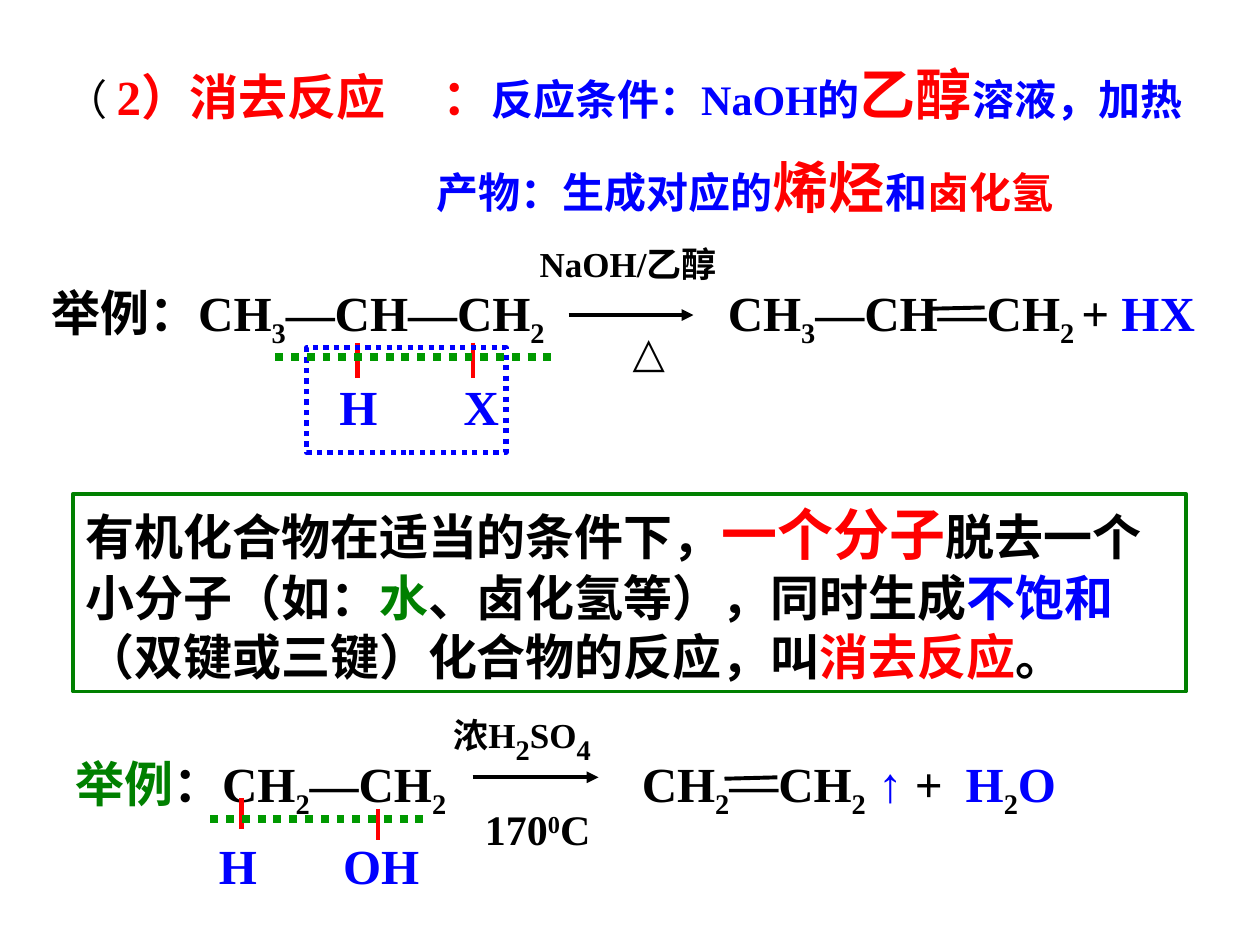
import pptx
import pptx.dml.color
import pptx.enum.dml
import pptx.enum.shapes
import pptx.enum.text
import pptx.oxml
import pptx.oxml.ns
import pptx.util

Pt = pptx.util.Pt
FONT = "Times New Roman"
COLORS = {
    "black": "000000",
    "red": "FF0000",
    "blue": "0000FF",
    "green": "008000",
    "cut": "009900",
}
SUB = {"baseline": -25000}
SUPER = {"baseline": 30000}
BLUE = {"color": "blue"}
RED = {"color": "red"}
GREEN = {"color": "green"}

HEADING = [
    [
        ("（ ", {"bold": False}),
        ("2）消去反应\t：", {"size": 28, "color": "red"}),
        ("反应条件：NaOH的", BLUE),
        ("乙醇", {"size": 32, "color": "red"}),
        ("溶液，加热", BLUE),
    ],
    [
        ("产物：生成对应的", BLUE),
        ("烯烃", {"size": 32, "color": "red"}),
        ("和", BLUE),
        ("卤化氢", RED),
    ],
]
DEFINITION = [[
    ("有机化合物在适当的条件下，", {}),
    ("一个分子", {"size": 32, "color": "red"}),
    ("脱去一个小分子（如：", {}),
    ("水", GREEN),
    ("、卤化氢等），同时生成", {}),
    ("不饱和", BLUE),
    ("（双键或三键）化合物的反应，叫", {}),
    ("消去反应", RED),
    ("。", {}),
]]
HALIDE = {
    "texts": [
        ((0, 22.7, 686, 45.4), 28, [
            ("举例：CH", {}), ("3", SUB), ("—CH—CH", {}), ("2", SUB),
            ("\tCH", {}), ("3", SUB), ("—CH—CH", {}), ("2 ", SUB),
            ("+ ", {}), ("HX", BLUE)], [386.5]),
        ((279, 0, 126.7, 31.7), 20, [("NaOH/乙醇", {})], []),
        ((332.2, 47.2, 47.5, 36), 24, [("△", {})], []),
        ((164.5, 76.7, 113.8, 41), 28, [("H\tX", BLUE)], [71]),
    ],
    "arrow": (302.7, 45, 374, 45),
    "bonds": [(181.8, 81, 181.8, 60.8, 3), (248, 60.8, 248, 81, 2.25)],
    "leaving_box": (153, 63.7, 113.8, 59.8),
    "cut": (135, 68.8, 296.2, 68.8),
    "double_bond": (510.1, 41.4, 540.3, 40.7),
}
ALCOHOL = {
    "texts": [
        ((0, 31, 684, 45.4), 28, [
            ("举例", GREEN), ("：CH", {}), ("2", SUB), ("—CH", {}), ("2", SUB),
            ("\tCH", {}), ("2", SUB), ("—CH", {}), ("2", SUB),
            (" ↑ ", BLUE), ("+\t", {}), ("H", BLUE),
            ("2", SUB), ("O", BLUE)], [323.7, 508.8]),
        ((216, 0, 108, 45.4), 20, [
            ("浓H", {}), ("2", {"size": 28, **SUB}),
            ("SO", {}), ("4", {"size": 28, **SUB})], []),
        ((234, 59.8, 90, 36), 24, [("170", {}), ("0", SUPER), ("C", {})], []),
        ((82, 77.8, 162, 41), 28, [("H\tOH", BLUE)], [71]),
    ],
    "arrow": (234, 48.2, 306, 48.2),
    "bonds": [(102.2, 77.8, 102.2, 59.8, 3), (180, 66.2, 180, 84.2, 2.25)],
    "cut": (84.2, 72, 210.2, 72),
    "double_bond": (378, 49, 408.2, 48.2),
}


def rgb(name):
    return pptx.dml.color.RGBColor.from_string(COLORS[name])


def set_line(line, color, width, dotted=False):
    line.color.rgb = rgb(color)
    line.width = Pt(width)
    if dotted:
        line.dash_style = pptx.enum.dml.MSO_LINE.ROUND_DOT


def add_tabs(paragraph, stops):
    if stops:
        properties = paragraph._p.get_or_add_pPr()
        tab_list = pptx.oxml.parse_xml(
            f'<a:tabLst {pptx.oxml.ns.nsdecls("a")}/>')
        for stop in stops:
            tab = tab_list.makeelement(pptx.oxml.ns.qn("a:tab"), {})
            tab.set("pos", str(int(Pt(stop))))
            tab.set("algn", "l")
            tab_list.append(tab)
        properties.append(tab_list)


def add_runs(paragraph, runs, size):
    paragraph.alignment = pptx.enum.text.PP_ALIGN.LEFT
    for text, changes in runs:
        style = {"size": size, "color": "black", "bold": True, **changes}
        run = paragraph.add_run()
        run.text = text
        values = {"name": FONT, "size": Pt(style["size"]), "bold": style["bold"]}
        for key, value in values.items():
            setattr(run.font, key, value)
        run.font.color.rgb = rgb(style["color"])
        if "baseline" in style:
            run._r.get_or_add_rPr().set("baseline", str(style["baseline"]))


def fill_frame(frame, paragraphs, size, stops=()):
    values = {
        "word_wrap": True,
        "auto_size": pptx.enum.text.MSO_AUTO_SIZE.SHAPE_TO_FIT_TEXT,
        "vertical_anchor": pptx.enum.text.MSO_ANCHOR.TOP,
    }
    for key, value in values.items():
        setattr(frame, key, value)
    for index, runs in enumerate(paragraphs):
        paragraph = frame.add_paragraph() if index else frame.paragraphs[0]
        if index:
            paragraph.space_before = Pt(15)
        else:
            add_tabs(paragraph, stops)
        add_runs(paragraph, runs, size)


def add_line(slide, origin, ends, color, width, dotted=False, arrow=False):
    left, top = origin
    x1, y1, x2, y2 = ends
    connector = slide.shapes.add_connector(
        pptx.enum.shapes.MSO_CONNECTOR.STRAIGHT,
        Pt(left + x1), Pt(top + y1), Pt(left + x2), Pt(top + y2))
    set_line(connector.line, color, width, dotted)
    namespace = pptx.oxml.ns.nsdecls("a")
    if arrow:
        connector.line._get_or_add_ln().append(
            pptx.oxml.parse_xml(f'<a:tailEnd {namespace} type="triangle"/>'))
    connector._element.spPr.append(
        pptx.oxml.parse_xml(f"<a:effectLst {namespace}/>"))


def add_frame(slide, box, color, width, dotted=False):
    shape = slide.shapes.add_shape(
        pptx.enum.shapes.MSO_SHAPE.RECTANGLE, *map(Pt, box))
    shape.shadow.inherit = False
    shape.fill.background()
    set_line(shape.line, color, width, dotted)
    return shape


def add_heading(slide, box):
    frame = slide.shapes.add_textbox(*map(Pt, box)).text_frame
    fill_frame(frame, HEADING, 24, [215.5])
    product_line = frame.paragraphs[1]._p.get_or_add_pPr()
    product_line.set("marL", str(int(Pt(212.4))))
    product_line.set("indent", "0")


def add_definition(slide, box):
    fill_frame(add_frame(slide, box, "green", 2.25).text_frame, DEFINITION, 28)


def add_reaction(slide, box, reaction):
    left, top = origin = box[:2]
    for (x, y, width, height), size, runs, stops in reaction["texts"]:
        text_box = slide.shapes.add_textbox(
            Pt(left + x), Pt(top + y), Pt(width), Pt(height))
        fill_frame(text_box.text_frame, [runs], size, stops)
    add_line(slide, origin, reaction["arrow"], "black", 2.25, arrow=True)
    for *ends, width in reaction["bonds"]:
        add_line(slide, origin, ends, "red", width)
    if "leaving_box" in reaction:
        x, y, width, height = reaction["leaving_box"]
        add_frame(slide, (left + x, top + y, width, height), "blue", 3, True)
    add_line(slide, origin, reaction["cut"], "cut", 4.5, dotted=True)
    add_line(slide, origin, reaction["double_bond"], "black", 2.25)


def main():
    presentation = pptx.Presentation()
    presentation.slide_width = Pt(720)
    presentation.slide_height = Pt(540)
    slide = presentation.slides.add_slide(presentation.slide_layouts[6])
    add_heading(slide, (30.2, 30.2, 667.4, 128.2))
    add_definition(slide, (41.8, 282.2, 635.8, 113))
    add_reaction(slide, (36, 396, 684, 119), ALCOHOL)
    add_reaction(slide, (22.3, 135, 686, 124), HALIDE)
    presentation.save("out.pptx")


if __name__ == "__main__":
    main()
